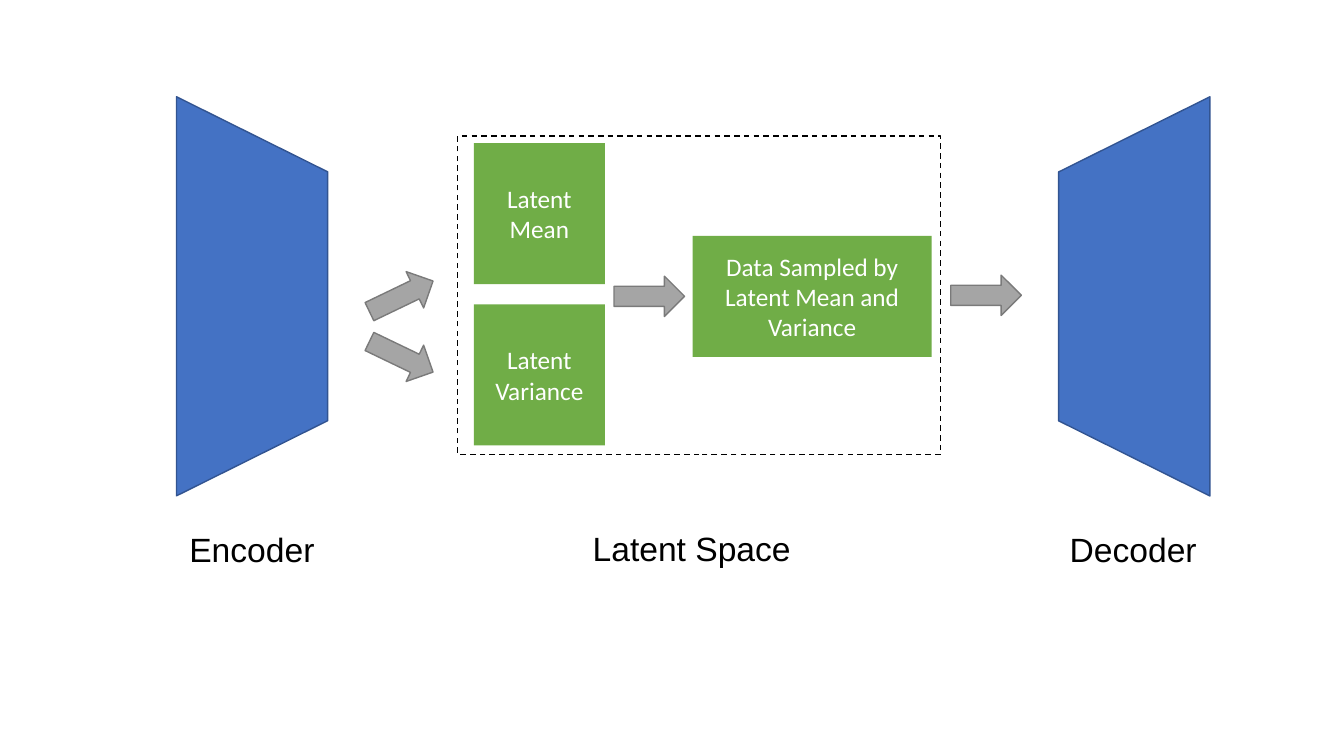
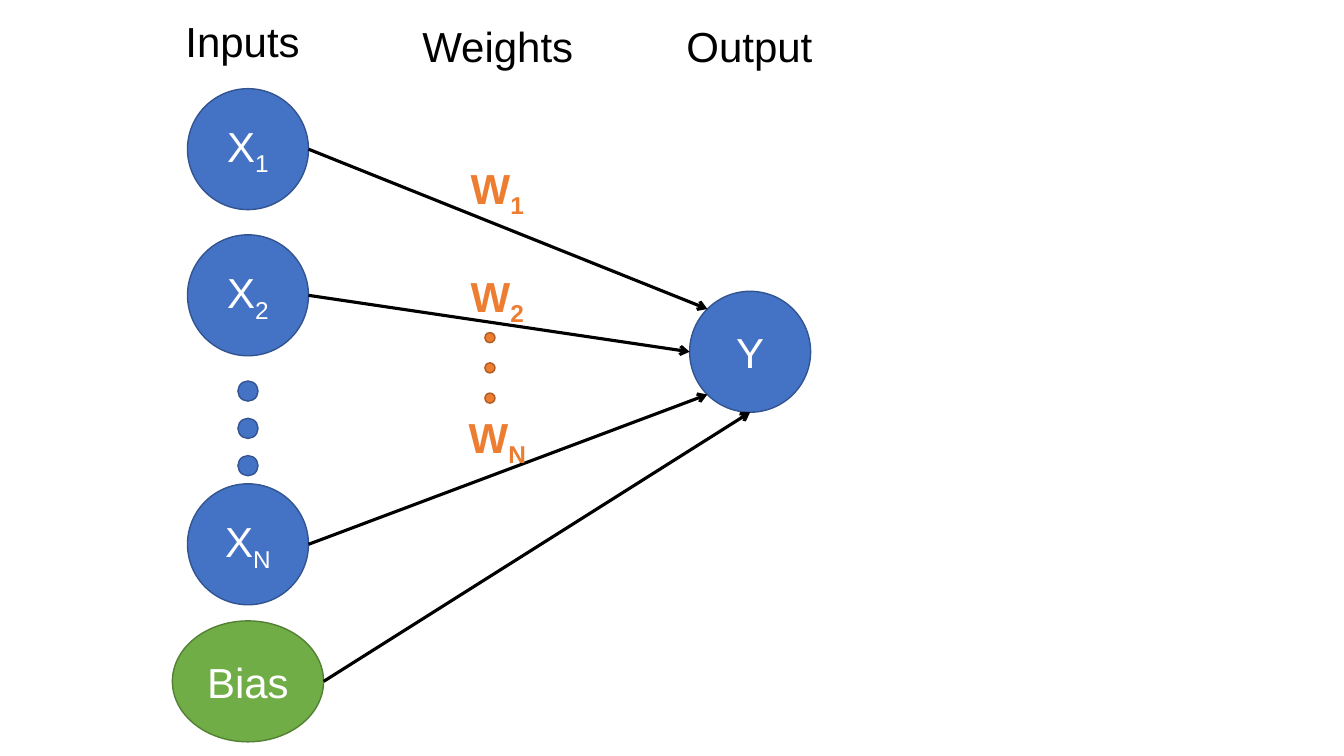
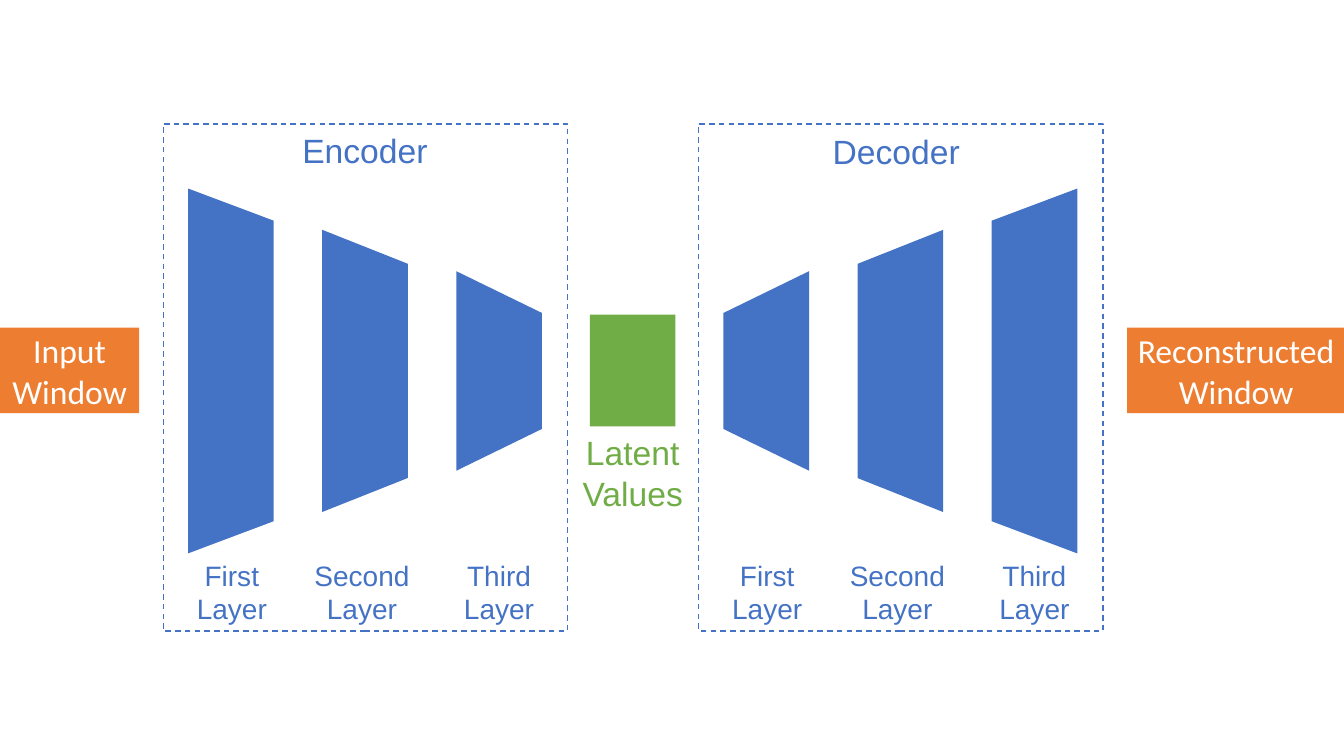
from dataclasses import dataclass
from math import cos, radians, sin

from lxml.etree import SubElement
from pptx import Presentation
from pptx.dml.color import RGBColor
from pptx.enum.dml import MSO_LINE
from pptx.enum.shapes import MSO_CONNECTOR, MSO_SHAPE
from pptx.enum.text import MSO_ANCHOR, MSO_AUTO_SIZE, PP_ALIGN
from pptx.oxml.ns import qn
from pptx.util import Inches, Pt


@dataclass(frozen=True)
class Theme:
    """Colours, fonts and type sizes shared by all slides."""
    blue: str = "4472C4"
    blue_edge: str = "325491"
    green: str = "70AD47"
    green_edge: str = "538035"
    orange: str = "ED7D31"
    orange_edge: str = "AF5C24"
    gray: str = "A5A5A5"
    gray_edge: str = "7A7A7A"
    black: str = "000000"
    white: str = "FFFFFF"
    label_font: str = "Arial"
    box_font: str = "Calibri"
    node_size: int = 30
    label_size: int = 24
    layer_size: int = 20
    box_size: int = 18
    thin: float = 1
    thick: float = 2.25


THEME = Theme()

# Sampling slide: places are (left, top, width, height)
SAMPLING_LABELS = [("Encoder", (1.78, 5.2, 1.46, 0.5)),
                   ("Decoder", (10.51, 5.2, 1.48, 0.5)),
                   ("Latent Space", (5.78, 5.19, 2.19, 0.5))]
SAMPLING_FUNNELS = [(2.5, 90), (11.25, 270)]  # centre x, rotation
SAMPLING_ARROWS = [(6.09, 2.74, 0), (9.43, 2.73, 0),  # left, top, rotation
                   (3.63, 3.34, 25.7), (3.63, 2.74, -25.7)]
LATENT_FRAME = (4.54, 1.35, 4.79, 3.16)
LATENT_BOXES = [(["Latent", "Mean"], (4.7, 1.42, 1.3, 1.4)),
                (["Latent", "Variance"], (4.7, 3.02, 1.3, 1.4)),
                (["Data Sampled by Latent Mean and Variance"], (6.87, 2.34, 2.37, 1.2))]

# Neuron slide: an underscore starts a subscript
HEADINGS = [("Inputs", (1.74, 0.1, 1.35, 0.61)),
            ("Weights", (4.09, 0.15, 1.71, 0.61)),
            ("Output", (6.71, 0.15, 1.46, 0.61))]
INPUT_X = 2.46
OUTPUT_CENTER = (7.44, 3.49)
NODE = 1.2
# text, centre y, width, fill, edge, angle at which its arrow meets the output
INPUTS = [("X_1", 1.48, NODE, THEME.blue, THEME.blue_edge, 225),
          ("X_2", 2.93, NODE, THEME.blue, THEME.blue_edge, 180),
          ("X_N", 5.4, NODE, THEME.blue, THEME.blue_edge, 135),
          ("Bias", 6.76, 1.5, THEME.green, THEME.green_edge, 90)]
WEIGHTS = [("W_1", (4.57, 1.56, 0.76, 0.61)),
           ("W_2", (4.57, 2.63, 0.76, 0.61)),
           ("W_N", (4.55, 4.03, 0.8, 0.61))]
# centre x, first centre y, step, size, fill, edge
ELLIPSES = [(INPUT_X, 3.88, 0.37, 0.2, THEME.blue, THEME.blue_edge),
            (4.86, 3.35, 0.3, 0.1, THEME.orange, THEME.orange_edge)]

# Layer slide
WINDOWS = [(["Input", "Window"], (0, 3.25, 1.38, 0.85)),
           (["Reconstructed", "Window"], (11.18, 3.25, 2.16, 0.85))]
LATENT_VALUES = (5.85, 3.12, 0.85, 1.11)
LATENT_CAPTION = (["Latent", "Values"], (5.67, 4.24, 1.21, 0.91))
LAYER_SIZES = [(3.62, 0.376), (2.8, 0.397), (1.98, 0.488)]  # height, taper
# name, label width, label centre from the frame's left edge
LAYER_NAMES = [("First", 0.9, 0.68), ("Second", 1.15, 1.97), ("Third", 0.9, 3.33)]
LAYER_DEPTH, LAYER_START, LAYER_STEP, LAYER_Y = 0.85, 0.67, 1.33, 3.68
FRAME_SIZE = (4.01, 5.03)
# title, title place, frame left, rotation, layer sizes from left to right
STAGES = [("Encoder", (2.9, 1.24, 1.47, 0.86), 1.62, 90, LAYER_SIZES),
          ("Decoder", (8.16, 1.25, 1.49, 0.86), 6.93, 270, LAYER_SIZES[::-1])]


def write(text_frame, lines, font, size, color, align=PP_ALIGN.CENTER, bold=False):
    """Fill a text frame with one paragraph per line."""
    for index, line in enumerate(lines):
        paragraph = text_frame.paragraphs[0] if index == 0 else text_frame.add_paragraph()
        paragraph.alignment = align
        for part, text in enumerate(line.split("_")):
            run = paragraph.add_run()
            run.text = text
            run.font.name = font
            run.font.size = Pt(size)
            run.font.bold = bold
            run.font.color.rgb = RGBColor.from_string(color)
            if part == 1:
                run.font._element.set("baseline", "-25000")


def add_label(slide, lines, place, size, color, align=PP_ALIGN.LEFT, bold=False):
    """Add free text that does not wrap."""
    box = slide.shapes.add_textbox(*map(Inches, place))
    box.text_frame.word_wrap = False
    box.text_frame.auto_size = MSO_AUTO_SIZE.SHAPE_TO_FIT_TEXT
    write(box.text_frame, lines, THEME.label_font, size, color, align, bold)


def add_figure(slide, kind, place, fill=None, edge=None, dashed=False, rotation=0):
    """Add a preset shape with an optional fill and outline."""
    shape = slide.shapes.add_shape(kind, *map(Inches, place))
    shape.shadow.inherit = False
    shape.rotation = rotation
    if fill:
        shape.fill.solid()
        shape.fill.fore_color.rgb = RGBColor.from_string(fill)
    else:
        shape.fill.background()
    if edge:
        shape.line.color.rgb = RGBColor.from_string(edge)
        shape.line.width = Pt(THEME.thin)
        if dashed:
            shape.line.dash_style = MSO_LINE.DASH
    else:
        shape.line.fill.background()
    return shape


def add_text_box(slide, lines, place, fill, size):
    """Add a filled rectangle with centred white text."""
    shape = add_figure(slide, MSO_SHAPE.RECTANGLE, place, fill)
    shape.text_frame.vertical_anchor = MSO_ANCHOR.MIDDLE
    shape.text_frame.word_wrap = True
    write(shape.text_frame, lines, THEME.box_font, size, THEME.white)


def add_funnel(slide, center, height, depth, taper, rotation, edge=None):
    """Add a trapezoid lying on its side around a centre point."""
    x, y = center
    place = (x - height / 2, y - depth / 2, height, depth)
    shape = add_figure(slide, MSO_SHAPE.TRAPEZOID, place, THEME.blue, edge, rotation=rotation)
    shape.adjustments[0] = taper


def add_circle(slide, center, width, height, fill, edge):
    """Add an ellipse around a centre point."""
    x, y = center
    place = (x - width / 2, y - height / 2, width, height)
    return add_figure(slide, MSO_SHAPE.OVAL, place, fill, edge)


def add_node(slide, text, center, width, fill, edge):
    """Add a labelled network node."""
    shape = add_circle(slide, center, width, NODE, fill, edge)
    shape.text_frame.vertical_anchor = MSO_ANCHOR.MIDDLE
    shape.text_frame.word_wrap = True
    write(shape.text_frame, [text], THEME.label_font, THEME.node_size, THEME.white)


def add_arrow(slide, start, end):
    """Add a straight black line with an open arrowhead at its end."""
    connector = slide.shapes.add_connector(MSO_CONNECTOR.STRAIGHT, *map(Inches, start + end))
    connector.line.color.rgb = RGBColor.from_string(THEME.black)
    connector.line.width = Pt(THEME.thick)
    SubElement(connector.line._get_or_add_ln(), qn("a:tailEnd"), type="arrow")
    SubElement(connector._element.spPr, qn("a:effectLst"))


def build_sampling(slide):
    """Encoder, sampled latent space and decoder."""
    for text, place in SAMPLING_LABELS:
        add_label(slide, [text], place, THEME.label_size, THEME.black)
    for x, rotation in SAMPLING_FUNNELS:
        add_funnel(slide, (x, 2.94), 3.96, 1.5, 0.497, rotation, THEME.blue_edge)
    add_figure(slide, MSO_SHAPE.RECTANGLE, LATENT_FRAME, edge=THEME.black, dashed=True)
    for lines, place in LATENT_BOXES:
        add_text_box(slide, lines, place, THEME.green, THEME.box_size)
    for left, top, rotation in SAMPLING_ARROWS:
        add_figure(slide, MSO_SHAPE.RIGHT_ARROW, (left, top, 0.7, 0.4),
                   THEME.gray, THEME.gray_edge, rotation=rotation)


def build_neuron(slide):
    """Weighted inputs and a bias feeding one output."""
    for text, place in HEADINGS:
        add_label(slide, [text], place, THEME.node_size, THEME.black)
    add_node(slide, "Y", OUTPUT_CENTER, NODE, THEME.blue, THEME.blue_edge)
    output_x, output_y = OUTPUT_CENTER
    for text, y, width, fill, edge, angle in INPUTS:
        add_node(slide, text, (INPUT_X, y), width, fill, edge)
        end = (output_x + NODE / 2 * cos(radians(angle)),
               output_y + NODE / 2 * sin(radians(angle)))
        add_arrow(slide, (INPUT_X + width / 2, y), end)
    for text, place in WEIGHTS:
        add_label(slide, [text], place, THEME.node_size, THEME.orange, bold=True)
    for x, first_y, step, size, fill, edge in ELLIPSES:
        for index in range(3):
            add_circle(slide, (x, first_y + index * step), size, size, fill, edge)


def build_layers(slide):
    """Three encoder layers, latent values and three decoder layers."""
    for lines, place in WINDOWS:
        add_text_box(slide, lines, place, THEME.orange, THEME.label_size)
    add_figure(slide, MSO_SHAPE.RECTANGLE, LATENT_VALUES, THEME.green)
    for title, title_place, left, rotation, sizes in STAGES:
        add_figure(slide, MSO_SHAPE.RECTANGLE, (left, 1.23, *FRAME_SIZE),
                   edge=THEME.blue, dashed=True)
        add_label(slide, [title], title_place, THEME.label_size, THEME.blue)
        for index, (height, taper) in enumerate(sizes):
            center = (left + LAYER_START + index * LAYER_STEP, LAYER_Y)
            add_funnel(slide, center, height, LAYER_DEPTH, taper, rotation)
        for name, width, offset in LAYER_NAMES:
            add_label(slide, [name, "Layer"], (left + offset - width / 2, 5.49, width, 0.77),
                      THEME.layer_size, THEME.blue, PP_ALIGN.CENTER)
    lines, place = LATENT_CAPTION
    add_label(slide, lines, place, THEME.label_size, THEME.green, PP_ALIGN.CENTER)


def main():
    """Build the three slides and save them."""
    presentation = Presentation()
    presentation.slide_width = Inches(13.33)
    presentation.slide_height = Inches(7.5)
    for build in (build_sampling, build_neuron, build_layers):
        build(presentation.slides.add_slide(presentation.slide_layouts[6]))
    presentation.save("out.pptx")


main()
